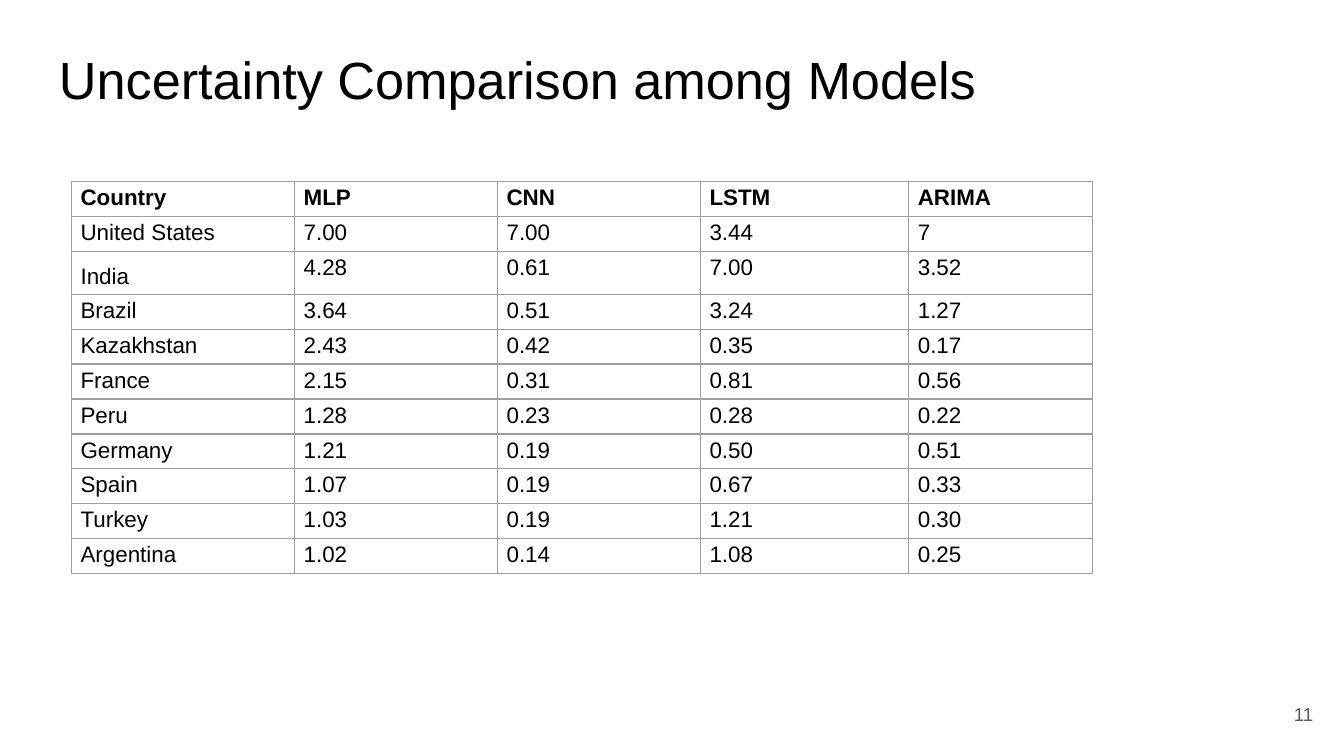
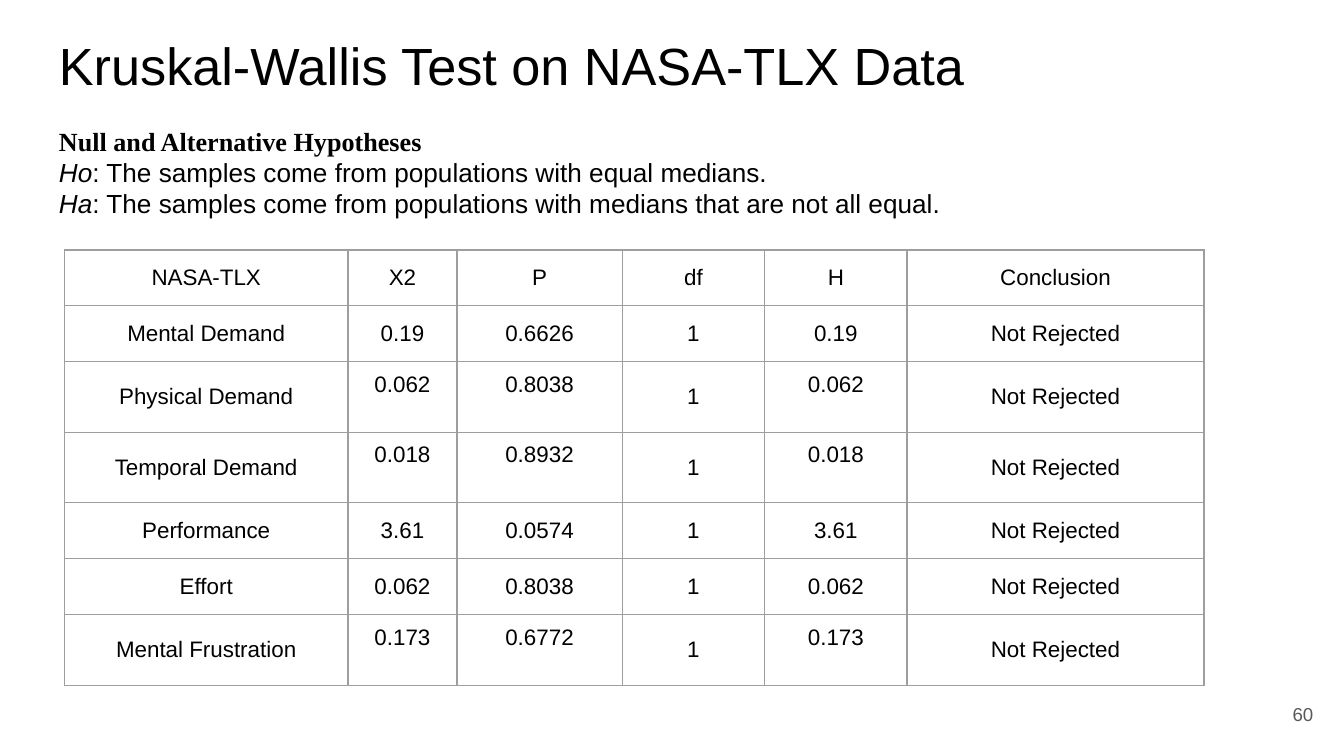
from dataclasses import dataclass

from lxml import etree
from pptx import Presentation
from pptx.dml.color import RGBColor
from pptx.enum.text import MSO_ANCHOR, MSO_AUTO_SIZE, PP_ALIGN
from pptx.oxml.ns import qn
from pptx.util import Inches, Pt

LEFT, CENTER, RIGHT = PP_ALIGN.LEFT, PP_ALIGN.CENTER, PP_ALIGN.RIGHT
TOP, MIDDLE = MSO_ANCHOR.TOP, MSO_ANCHOR.MIDDLE
GROW = MSO_AUTO_SIZE.SHAPE_TO_FIT_TEXT
BLANK_LAYOUT = 6


@dataclass(frozen=True)
class Theme:
    font: str = "Arial"
    heading_font: str = "Times New Roman"
    text: str = "000000"
    muted: str = "595959"
    border: str = "9E9E9E"
    border_width: float = 0.75
    title_size: int = 28
    body_size: int = 14
    table_size: int = 12
    number_size: int = 10


class SlideBuilder:
    def __init__(self, deck, theme):
        self.deck = deck
        self.theme = theme
        self.slide = None

    def start(self):
        self.slide = self.deck.slides.add_slide(self.deck.slide_layouts[BLANK_LAYOUT])

    def style(self, font, size, color=None, name=None, bold=False, italic=False):
        font.name = name or self.theme.font
        font.size = Pt(size)
        font.bold = bold
        font.italic = italic
        font.color.rgb = RGBColor.from_string(color or self.theme.text)

    def box(self, left, top, width, height, inset, anchor=TOP):
        shape = self.slide.shapes.add_textbox(
            Inches(left), Inches(top), Inches(width), Inches(height))
        frame = shape.text_frame
        frame.word_wrap = True
        frame.vertical_anchor = anchor
        frame.margin_left = frame.margin_right = Inches(0.1)
        frame.margin_top = frame.margin_bottom = Inches(inset)
        return frame

    def title(self, text, top):
        para = self.box(0.34, top, 9.32, 0.63, 0.1).paragraphs[0]
        para.text = text
        self.style(para.runs[0].font, self.theme.title_size)

    def page_number(self, number):
        para = self.box(9.27, 5.1, 0.6, 0.43, 0.1, MIDDLE).paragraphs[0]
        para.text = str(number)
        para.alignment = RIGHT
        self.style(para.runs[0].font, self.theme.number_size, self.theme.muted)

    def hypotheses(self, heading, statements):
        size = self.theme.body_size
        frame = self.box(0.34, 0.88, 7.43, 0.81, 0.05)
        frame.auto_size = GROW
        para = frame.paragraphs[0]
        para.text = heading
        self.style(para.runs[0].font, size, name=self.theme.heading_font, bold=True)
        for symbol, statement in statements:
            para = frame.add_paragraph()
            for text, italic in ((symbol, True), (": " + statement, False)):
                span = para.add_run()
                span.text = text
                self.style(span.font, size, italic=italic)

    def table(self, left, top, widths, heights, rows, align=LEFT, anchor=TOP,
              spacing=None, bold_header=False):
        frame = self.slide.shapes.add_table(
            len(rows), len(widths), Inches(left), Inches(top),
            Inches(sum(widths)), Inches(sum(heights)))
        table = frame.table
        table.first_row = bold_header
        table.horz_banding = False
        for column, width in zip(table.columns, widths):
            column.width = Inches(width)
        for row, height in zip(table.rows, heights):
            row.height = Inches(height)
        for row_index, values in enumerate(rows):
            for column_index, value in enumerate(values):
                cell = table.cell(row_index, column_index)
                self.cell(cell, value, align, anchor, bold_header and row_index == 0)
                cell.text_frame.paragraphs[0].line_spacing = spacing
        return table

    def cell(self, cell, text, align, anchor, bold):
        cell.margin_left = cell.margin_right = Inches(0.07)
        cell.margin_top = cell.margin_bottom = 0
        cell.vertical_anchor = anchor
        self.borders(cell)
        cell.fill.background()
        para = cell.text_frame.paragraphs[0]
        para.text = text
        para.alignment = align
        self.style(para.runs[0].font, self.theme.table_size, bold=bold)

    def borders(self, cell):
        properties = cell._tc.get_or_add_tcPr()
        for side in ("a:lnL", "a:lnR", "a:lnT", "a:lnB"):
            line = etree.SubElement(
                properties, qn(side), w=str(Pt(self.theme.border_width)))
            fill = etree.SubElement(line, qn("a:solidFill"))
            etree.SubElement(fill, qn("a:srgbClr"), val=self.theme.border)


UNCERTAINTY = [
    ("Country", "MLP", "CNN", "LSTM", "ARIMA"),
    ("United States", "7.00", "7.00", "3.44", "7"),
    ("India", "4.28", "0.61", "7.00", "3.52"),
    ("Brazil", "3.64", "0.51", "3.24", "1.27"),
    ("Kazakhstan", "2.43", "0.42", "0.35", "0.17"),
    ("France", "2.15", "0.31", "0.81", "0.56"),
    ("Peru", "1.28", "0.23", "0.28", "0.22"),
    ("Germany", "1.21", "0.19", "0.50", "0.51"),
    ("Spain", "1.07", "0.19", "0.67", "0.33"),
    ("Turkey", "1.03", "0.19", "1.21", "0.30"),
    ("Argentina", "1.02", "0.14", "1.08", "0.25"),
]

HYPOTHESES = [
    ("Ho", "The samples come from populations with equal medians."),
    ("Ha", "The samples come from populations with medians that are not all equal."),
]

WORKLOAD_HEADER = ("NASA-TLX", "X2", "P", "df", "H", "Conclusion")
WORKLOAD = [
    ("Mental Demand", "0.19", "0.6626"),
    ("Physical Demand", "0.062", "0.8038"),
    ("Temporal Demand", "0.018", "0.8932"),
    ("Performance", "3.61", "0.0574"),
    ("Effort", "0.062", "0.8038"),
    ("Mental Frustration", "0.173", "0.6772"),
]
TALL_SCALES = {"Physical Demand", "Temporal Demand", "Mental Frustration"}
RAISED_COLUMNS = (1, 2, 4)


def uncertainty_slide(builder):
    builder.start()
    builder.title("Uncertainty Comparison among Models", 0.25)
    builder.page_number(11)
    heights = [0.32 if row[0] == "India" else 0.26 for row in UNCERTAINTY]
    table = builder.table(
        0.53, 1.35, [1.66, 1.51, 1.51, 1.55, 1.37], heights, UNCERTAINTY,
        spacing=1.15, bold_header=True)
    table.cell(2, 0).text_frame.paragraphs[0].line_spacing = 1.5


def workload_slide(builder):
    builder.start()
    builder.hypotheses("Null and Alternative Hypotheses", HYPOTHESES)
    builder.title("Kruskal-Wallis Test on NASA-TLX Data", 0.15)
    builder.page_number(60)
    rows = [WORKLOAD_HEADER]
    rows += [(scale, statistic, p_value, "1", statistic, "Not Rejected")
             for scale, statistic, p_value in WORKLOAD]
    total_height = 3.24
    shares = [0.53 if row[0] in TALL_SCALES else 0.42 for row in rows]
    heights = [total_height * share / sum(shares) for share in shares]
    table = builder.table(
        0.48, 1.86, [2.11, 0.81, 1.23, 1.06, 1.06, 2.21], heights, rows,
        align=CENTER, anchor=MIDDLE)
    for row_index, row in enumerate(rows):
        if row[0] in TALL_SCALES:
            for column_index in RAISED_COLUMNS:
                table.cell(row_index, column_index).margin_bottom = Inches(0.19)


def main():
    deck = Presentation()
    deck.slide_width = Inches(10)
    deck.slide_height = deck.slide_width * 9 // 16
    builder = SlideBuilder(deck, Theme())
    uncertainty_slide(builder)
    workload_slide(builder)
    deck.save("out.pptx")


if __name__ == "__main__":
    main()
